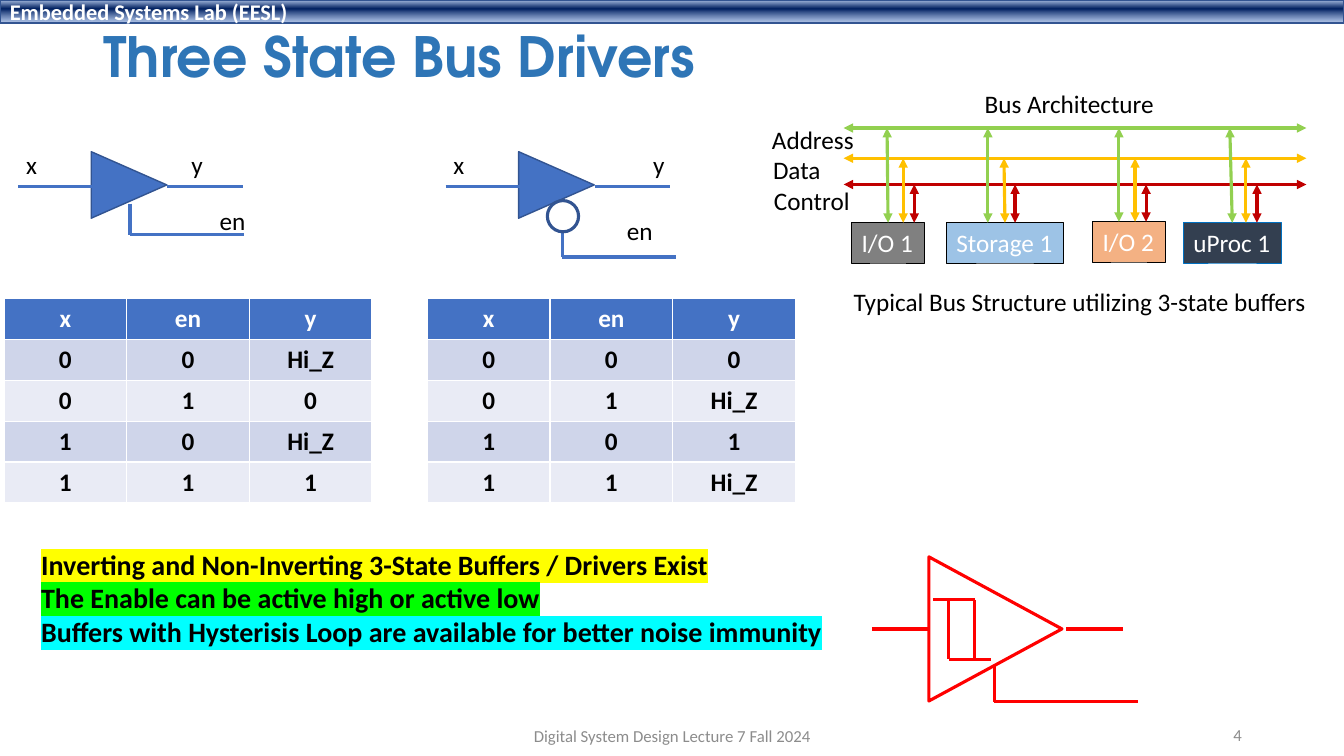
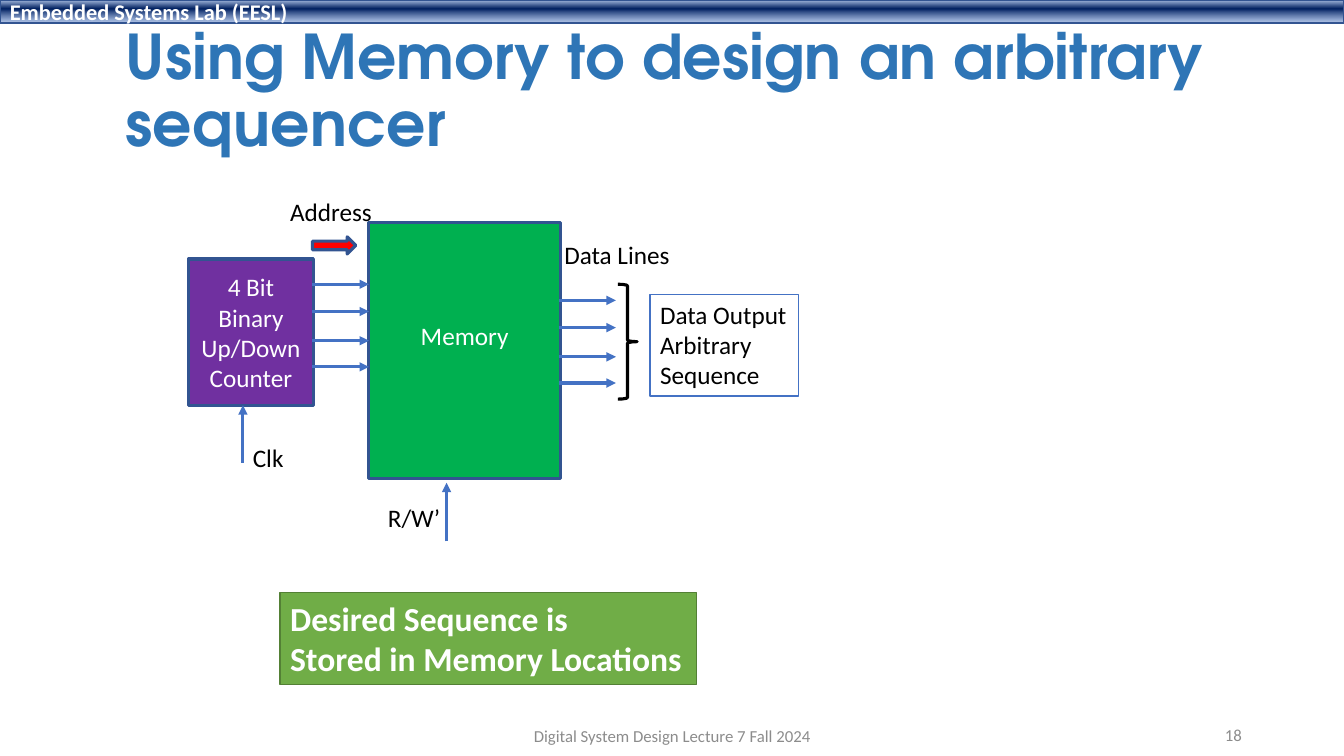
from dataclasses import dataclass

from lxml.etree import SubElement
from pptx import Presentation
from pptx.dml.color import RGBColor
from pptx.enum.shapes import MSO_CONNECTOR, MSO_SHAPE
from pptx.enum.text import MSO_ANCHOR, MSO_AUTO_SIZE, PP_ALIGN
from pptx.oxml.ns import qn
from pptx.util import Inches, Pt


@dataclass(frozen=True)
class Theme:
    # Type
    body: str = "Calibri"
    head: str = "TeX Gyre Adventor"
    small: float = 12
    brand: float = 16
    text: float = 18
    note: float = 20
    large: float = 24
    # Lines
    thin: float = 1
    thick: float = 2.25
    # Colours
    black: str = "000000"
    white: str = "FFFFFF"
    title: str = "2E75B6"
    blue: str = "4472C4"
    edge: str = "325491"
    grey: str = "8C8C8C"
    red: str = "FF0000"
    rows: tuple = ("E9EBF5", "CFD5EA")
    # Position and opacity in percent
    band: tuple = ((2, "ABC0E4", 100), (38, "002060", 100), (93, "7E9ED6", 64))


T = Theme()
LEFT, MID, RIGHT = PP_ALIGN.LEFT, PP_ALIGN.CENTER, PP_ALIGN.RIGHT
COLS, ROWS = 133.33, 75  # grid of square cells, ten to the inch


def cell(count):
    return Inches(count / 10)


def tint(code):
    return RGBColor.from_string(code)


class Deck:
    def __init__(self):
        self.show = Presentation()
        self.show.slide_width = cell(COLS)
        self.show.slide_height = cell(ROWS)
        self.slide = None

    # Slide frame: band, title, footer, number
    def page(self, title, at, size, number):
        self.slide = self.show.slides.add_slide(self.show.slide_layouts[6])
        band = self.box((0, 0, COLS, 2.3), T.blue, T.edge, T.thin,
                        "Embedded Systems Lab (EESL)", size=T.brand, bold=True,
                        align=LEFT)
        self.blend(band)
        self.label(at, title, size=size, color=T.title, bold=True,
                   font=T.head, wrap=True, anchor=MSO_ANCHOR.MIDDLE, space=0.9)
        foot = dict(size=T.small, color=T.grey, wrap=True,
                    anchor=MSO_ANCHOR.MIDDLE)
        self.label((44.2, 71, 45, 4), "Digital System Design Lecture 7 Fall 2024",
                   align=MID, **foot)
        self.label((94.2, 70.9, 30, 4), str(number), align=RIGHT, **foot)

    def blend(self, shape):
        shape.fill.gradient()
        shape.fill.gradient_angle = 270
        stops = shape.element.spPr.find(qn("a:gradFill")).find(qn("a:gsLst"))
        for stop in list(stops):
            stops.remove(stop)
        for place, code, solid in T.band:
            stop = SubElement(stops, qn("a:gs"), pos=str(place * 1000))
            color = SubElement(stop, qn("a:srgbClr"), val=code)
            SubElement(color, qn("a:alpha"), val=str(solid * 1000))

    # Text
    def fill_text(self, frame, text, size=T.text, color=T.black, bold=False,
                  align=LEFT, anchor=MSO_ANCHOR.TOP, font=T.body, wrap=False,
                  space=None, marks=()):
        frame.text = text
        frame.word_wrap = wrap
        frame.vertical_anchor = anchor
        frame.auto_size = MSO_AUTO_SIZE.NONE if wrap else MSO_AUTO_SIZE.SHAPE_TO_FIT_TEXT
        for para in frame.paragraphs:
            para.alignment = align
            if space:
                para.line_spacing = space
            for run in para.runs:
                self.style(run, size, color, bold, font)
        for para, code in zip(frame.paragraphs, marks):
            self.mark(para.runs[0], code)

    def style(self, run, size, color, bold, font=T.body):
        run.font.size = Pt(size)
        run.font.bold = bold
        run.font.name = font
        run.font.color.rgb = tint(color)

    def mark(self, run, code):
        props = run._r.get_or_add_rPr()
        light = SubElement(props, qn("a:highlight"))
        SubElement(light, qn("a:srgbClr"), val=code)
        props.find(qn("a:solidFill")).addnext(light)

    def label(self, at, text, **style):
        frame = self.slide.shapes.add_textbox(*map(cell, at)).text_frame
        self.fill_text(frame, text, **style)

    # Shapes
    def form(self, kind, at, fill, line, width, turn=0):
        shape = self.slide.shapes.add_shape(kind, *map(cell, at))
        shape.shadow.inherit = False
        shape.rotation = turn
        if fill:
            shape.fill.solid()
            shape.fill.fore_color.rgb = tint(fill)
        else:
            shape.fill.background()
        shape.line.color.rgb = tint(line)
        shape.line.width = Pt(width)
        return shape

    def box(self, at, fill, line, width, text, color=T.white, align=MID,
            wrap=True, **style):
        shape = self.form(MSO_SHAPE.RECTANGLE, at, fill, line, width)
        anchor = MSO_ANCHOR.MIDDLE if wrap else MSO_ANCHOR.TOP
        self.fill_text(shape.text_frame, text, color=color, align=align,
                       wrap=wrap, anchor=anchor, **style)
        return shape

    def wire(self, ends, color=T.blue, heads=()):
        wire = self.slide.shapes.add_connector(MSO_CONNECTOR.STRAIGHT,
                                               *map(cell, ends))
        wire.line.color.rgb = tint(color)
        wire.line.width = Pt(T.thick)
        props = wire.element.spPr
        for end in heads:
            SubElement(props.find(qn("a:ln")), qn("a:" + end), type="triangle")
        SubElement(props, qn("a:effectLst"))
        return wire

    def arrow(self, ends):
        return self.wire(ends, heads=("tailEnd",))

    def double(self, ends, color):
        return self.wire(ends, color, heads=("headEnd", "tailEnd"))

    # Truth table with a header row
    def table(self, at, data):
        grid = self.slide.shapes.add_table(len(data), len(data[0]),
                                           *map(cell, at)).table
        for r, row in enumerate(data):
            for c, text in enumerate(row):
                spot = grid.cell(r, c)
                spot.fill.solid()
                spot.fill.fore_color.rgb = tint(T.rows[r % 2] if r else T.blue)
                spot.text_frame.text = text
                para = spot.text_frame.paragraphs[0]
                para.alignment = MID
                self.style(para.runs[0], T.text, T.black if r else T.white, True)

    # Driver symbol; the enable wire drops at pin from top to base
    def driver(self, left, pin, top, base, out, gate):
        self.form(MSO_SHAPE.ISOSCELES_TRIANGLE, (left + 9.5, 14.6, 6.6, 7.5),
                  T.blue, T.edge, T.thin, turn=90)
        for x1, y1, x2, y2 in ((1.8, 18.5, 9.2, 18.5), (16.6, 18.5, 24.1, 18.5),
                               (pin, base, pin + 11.3, base),
                               (pin, top, pin, base)):
            self.wire((left + x1, y1, left + x2, y2))
        self.label((left + 1.6, 14.3, 3.1, 4), "x")
        self.label((left + out, 14.3, 3.2, 4), "y")
        self.label((left + gate[0], gate[1], 4.6, 4), "en")


def drivers(deck):
    deck.page("Three State Bus Drivers", (9.3, 1.1, 67.1, 9.7), 39.6, 4)

    # Drivers and truth tables
    deck.driver(0, 12.9, 20.2, 23.3, 18, (20.8, 19.9))
    deck.driver(42.4, 13.4, 23, 25.5, 21.4, (18.8, 20.9))
    deck.form(MSO_SHAPE.OVAL, (54.3, 19.9, 3.1, 3.1), None, T.edge, T.thick)
    inputs = ("00", "01", "10", "11")
    for n, outs in enumerate((("Hi_Z", "0", "Hi_Z", "1"),
                              ("0", "Hi_Z", "1", "Hi_Z"))):
        rows = [(*pair, out) for pair, out in zip(inputs, outs)]
        deck.table((0.4 + n * 42, 29.6, 36.5, 20.3), [("x", "en", "y")] + rows)

    # Key points
    deck.label((3.1, 53.8, 80.3, 11.1),
               "Inverting and Non-Inverting 3-State Buffers / Drivers Exist\n"
               "The Enable can be active high or active low\n"
               "Buffers with Hysterisis Loop are available for better noise immunity",
               size=T.note, bold=True, marks=("FFFF00", "00FF00", "00FFFF"))

    # Bus lines: height, colour, shift of the drop
    buses = ((12.7, "92D050", 0), (15.7, "FFC000", 1.6), (18.3, "C00000", 2.7))
    for y, color, shift in buses:
        deck.double((83.7, y, 129.6, y), color)

    # Devices: name, left, top, width, fill, line, first drop, joined drop
    devices = (
        ("I/O 1", 84.5, 22.1, 7.2, "808080", T.black, 88, 0),
        ("Storage 1", 93.9, 22.1, 11.6, "9DC3E6", T.black, 98, 1),
        ("I/O 2", 108.4, 22, 7.2, "F4B183", T.black, 111, None),
        ("uProc 1", 117.4, 22.1, 9.7, "333F50", "0070C0", 122, 0),
    )
    for name, left, top, width, fill, line, first, joined in devices:
        unit = deck.box((left, top, width, 4), fill, line, 0.5, name,
                        align=LEFT, wrap=False)
        for n, (y, color, shift) in enumerate(buses):
            x = first + shift
            drop = deck.double((x, y, x, top), color)
            if n == joined:
                drop.end_connect(unit, 0)

    # Bus labels
    for at, text in (((96.7, 8.3, 19, 4), "Bus Architecture"),
                     ((75.6, 11.8, 10.2, 4), "Address"),
                     ((75.7, 14.8, 6.8, 4), "Data"),
                     ((75.8, 17.9, 9.6, 4), "Control"),
                     ((83.7, 27.9, 47.4, 4),
                      "Typical Bus Structure utilizing 3-state buffers")):
        deck.label(at, text)

    # Driver with hysteresis loop
    deck.form(MSO_SHAPE.ISOSCELES_TRIANGLE, (91.6, 55.8, 14.3, 13.2),
              None, T.red, T.thick, turn=90)
    for ends in ((92.6, 59.5, 96.7, 59.5), (94.1, 59.5, 94.1, 65.4),
                 (96.7, 59.5, 96.7, 65.4), (94.1, 65.4, 98.3, 65.4),
                 (86.5, 62.4, 92.1, 62.4), (105.8, 62.4, 111.4, 62.4),
                 (98.7, 66, 98.7, 69.6), (98.6, 69.6, 112.9, 69.6)):
        deck.wire(ends, T.red)


def memory(deck):
    deck.page("Using Memory to design an arbitrary sequencer",
              (11.5, 2, 112.3, 14.5), 44, 18)

    # Counter and memory
    store = deck.box((36.6, 22.1, 19, 25.4), "00B050", T.edge, T.thick, "Memory")
    store.text_frame.margin_bottom = cell(3.5)
    deck.box((18.7, 25.7, 12.4, 14.5), "7030A0", T.edge, T.thick,
             "4 Bit\nBinary\nUp/Down\nCounter")

    # Address and data lines
    for drop in (0, 2.7, 5.6, 8.2):
        for x, y in ((31, 28.2), (55.5, 29.8)):
            deck.arrow((x, y + drop, x + 5.6, y + drop))
    deck.form(MSO_SHAPE.RIGHT_ARROW, (31, 23.5, 4.3, 1.7), T.red, T.edge, T.thick)
    deck.form(MSO_SHAPE.RIGHT_BRACE, (61.3, 28.2, 1.9, 11.4), None, T.black, T.thick)

    # Control inputs
    deck.arrow((44.3, 53.7, 44.3, 47.9))
    deck.arrow((24.1, 45.9, 24.1, 40.2))

    for at, text in (((27.8, 19, 10.2, 4), "Address"),
                     ((55, 23.3, 12.6, 4), "Data Lines"),
                     ((24.1, 43.4, 5.1, 4), "Clk"),
                     ((37.5, 49.3, 7.3, 4), "R/W’")):
        deck.label(at, text)

    # Result and remark
    deck.box((64.5, 29.2, 14.7, 10.1), T.white, T.blue, T.thin,
             "Data Output\nArbitrary\nSequence", color=T.black, align=LEFT,
             wrap=False)
    deck.box((27.8, 58.8, 41.3, 9.1), "70AD47", "538035", T.thin,
             "Desired Sequence is\nStored in Memory Locations",
             size=T.large, bold=True, align=LEFT, wrap=False)


def main():
    deck = Deck()
    drivers(deck)
    memory(deck)
    deck.show.save("out.pptx")


if __name__ == "__main__":
    main()
